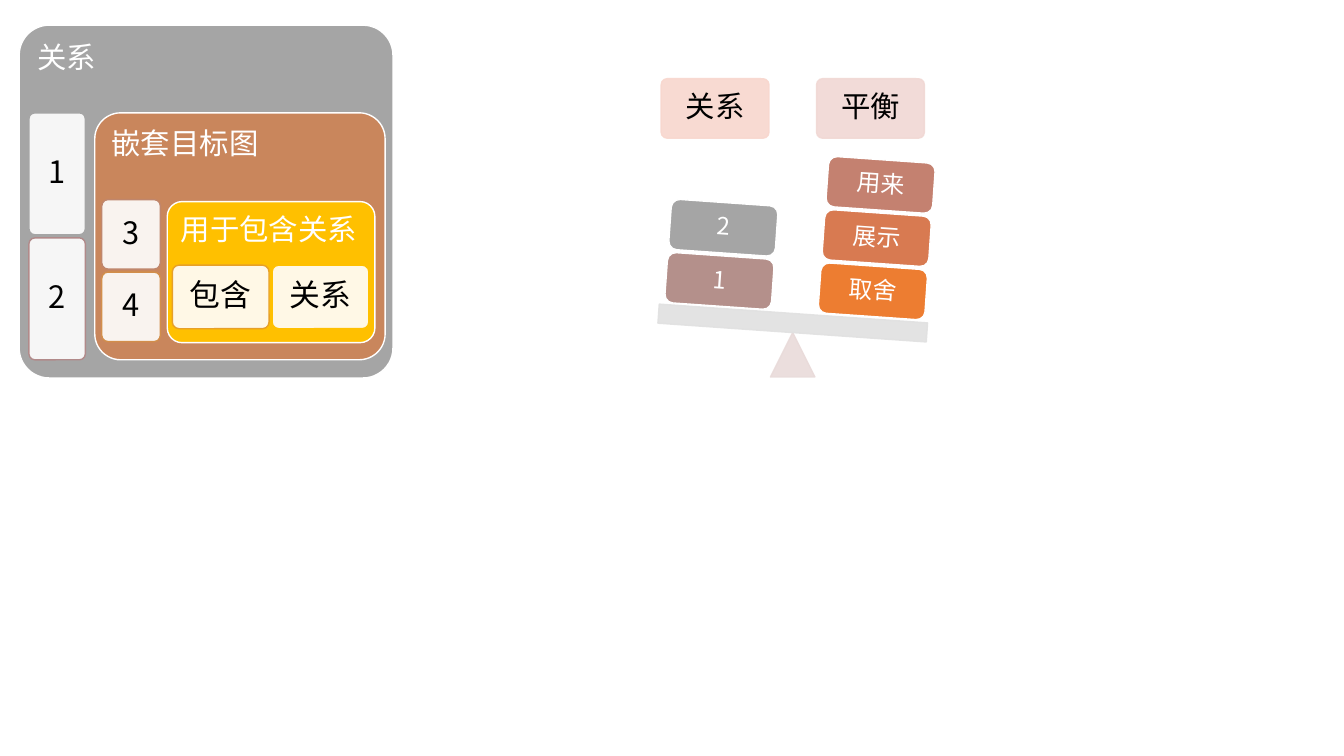
from lxml.etree import SubElement
from pptx import Presentation
from pptx.dml.color import RGBColor
from pptx.enum.shapes import MSO_SHAPE
from pptx.enum.text import MSO_ANCHOR, PP_ALIGN
from pptx.oxml.ns import qn
from pptx.util import Pt

FONT = "Noto Sans CJK SC"
WHITE, BLACK = "FFFFFF", "000000"
GAP = 2.2
TILT = 4


def paint(paint_format, colour, opacity=100):
    paint_format.solid()
    paint_format.fore_color.rgb = RGBColor.from_string(colour)
    if opacity < 100:
        colour_element = paint_format._xPr.find(qn("a:solidFill"))[0]
        SubElement(colour_element, qn("a:alpha"), val=str(opacity * 1000))


def add_block(slide, box, fill, line=WHITE, kind=MSO_SHAPE.ROUNDED_RECTANGLE,
              corner=None, opacity=100, line_opacity=100, tilt=0):
    block = slide.shapes.add_shape(kind, *map(Pt, box))
    block.shadow.inherit = False
    block.rotation = tilt
    if corner is not None:
        block.adjustments[0] = corner
    paint(block.fill, fill, opacity)
    block.line.width = Pt(1)
    paint(block.line.fill, line, line_opacity)
    return block


def write(block, wording, size, colour, inset=6.5,
          align=PP_ALIGN.CENTER, anchor=MSO_ANCHOR.MIDDLE):
    frame = block.text_frame
    frame.word_wrap = True
    frame.vertical_anchor = anchor
    frame.margin_left = frame.margin_top = Pt(inset)
    frame.margin_right = frame.margin_bottom = Pt(inset)
    frame.text = wording
    paragraph = frame.paragraphs[0]
    paragraph.alignment = align
    paragraph.line_spacing = 0.9
    font = paragraph.runs[0].font
    font.size = Pt(size)
    font.name = FONT
    font.color.rgb = RGBColor.from_string(colour)
    SubElement(font._element, qn("a:ea"), typeface=FONT)


def add_target(slide, box, title, fill, corner, items, item_box, across=False):
    """Draw a titled panel; item_box is the first item, relative to the panel."""
    left, top, _, _ = box
    panel = add_block(slide, box, fill, corner=corner)
    write(panel, title, 21, WHITE, align=PP_ALIGN.LEFT, anchor=MSO_ANCHOR.TOP)
    panel.text_frame.margin_right = 0
    dx, dy, width, height = item_box
    for index, (wording, outline) in enumerate(items):
        x = left + dx + (index * (width + GAP) if across else 0)
        y = top + dy + (0 if across else index * (height + GAP))
        item = add_block(slide, (x, y, width, height), WHITE, outline,
                         corner=0.105, opacity=90)
        write(item, wording, 22, BLACK)


def add_nested_targets(slide, left, top):
    add_target(slide, (left, top, 267, 252), "关系", "A5A5A5", 0.085,
               [("1", "A5A5A5"), ("2", "B18A8A")], (7, 62.6, 40.3, 87.1))
    add_target(slide, (left + 54, top + 62.6, 207.4, 176.4), "嵌套目标图",
               "C9865C", 0.105,
               [("3", "C0866C"), ("4", "D28E4B")], (5, 62, 41.8, 49.6))
    add_target(slide, (left + 105.8, top + 126, 148.3, 100.8), "用于包含关系",
               "FFC000", 0.105,
               [("包含", "E7A027"), ("关系", "FFC000")],
               (3.6, 45.4, 69.1, 45.4), across=True)


def add_balance(slide, left, top):
    headings = [("关系", "F8D7CE"), ("平衡", "F1D8D4")]
    for index, (wording, fill) in enumerate(headings):
        heading = add_block(slide, (left + 2.1 + index * 111, top, 77, 42.5),
                            fill, fill, corner=0.1, opacity=90, line_opacity=90)
        write(heading, wording, 21, BLACK)

    stand = [(MSO_SHAPE.ISOSCELES_TRIANGLE, (80.2, 181.4, 31.7, 31.7), "E9DBDA", 0),
             (MSO_SHAPE.RECTANGLE, (0, 167.7, 192.2, 13.7), "E1E1E1", TILT)]
    for kind, (dx, dy, width, height), fill, tilt in stand:
        add_block(slide, (left + dx, top + dy, width, height), fill, fill, kind,
                  opacity=90, line_opacity=90, tilt=tilt)

    # Each stack is listed from the plank upwards.
    stacks = [((115.2, 133.9), [("取舍", "ED7D31"), ("展示", "D87A51"),
                                ("用来", "C48170")]),
              ((5.6, 126.5), [("1", "B4908B"), ("2", "A5A5A5")])]
    for (dx, dy), weights in stacks:
        for level, (wording, fill) in enumerate(weights):
            weight = add_block(slide, (left + dx + level * 2.75,
                                       top + dy - level * 38, 76.3, 36),
                               fill, tilt=TILT)
            write(weight, wording, 17, WHITE, inset=5)


def main():
    deck = Presentation()
    deck.slide_width, deck.slide_height = Pt(960), Pt(540)
    slide = deck.slides.add_slide(deck.slide_layouts[6])
    add_nested_targets(slide, 13.7, 18)
    add_balance(slide, 470.2, 56.2)
    deck.save("out.pptx")


if __name__ == "__main__":
    main()
